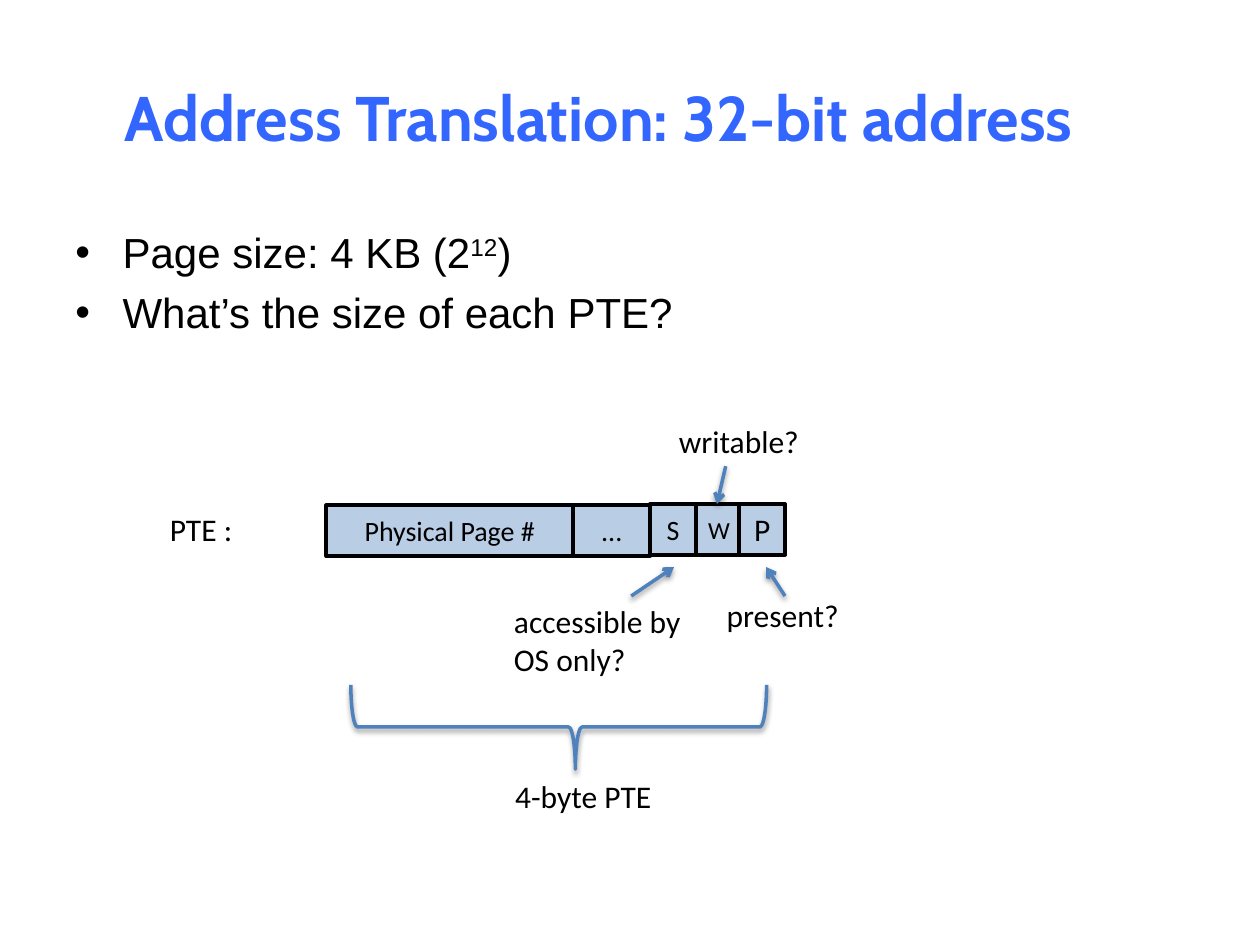
"""Build the slide on 32-bit address translation and the page table entry."""
import pptx
import pptx.dml.color
import pptx.enum.shapes
import pptx.enum.text
import pptx.oxml
import pptx.oxml.ns
import pptx.util
from pptx.util import Pt

BLACK = pptx.dml.color.RGBColor(0x00, 0x00, 0x00)
TITLE_BLUE = pptx.dml.color.RGBColor(0x33, 0x66, 0xFF)
CELL_BLUE = pptx.dml.color.RGBColor(0xB9, 0xCD, 0xE5)
LINE_BLUE = pptx.dml.color.RGBColor(0x4F, 0x81, 0xBD)
ALIGN = pptx.enum.text.PP_ALIGN
ANCHOR = pptx.enum.text.MSO_ANCHOR
SHAPE = pptx.enum.shapes.MSO_SHAPE
NAMESPACE = pptx.oxml.ns.nsdecls("a")
SHADOW = (
    f'<a:effectLst {NAMESPACE}><a:outerShdw blurRad="40000" dist="20000" dir="5400000" '
    'rotWithShape="0"><a:srgbClr val="000000"><a:alpha val="38000"/></a:srgbClr>'
    "</a:outerShdw></a:effectLst>"
)


def add_run(paragraph, text, size, font="Calibri", color=BLACK):
    run = paragraph.add_run()
    run.text = text
    run.font.size = Pt(size)
    run.font.name = font
    run.font.color.rgb = color
    return run


def style_line(shape):
    shape.line.color.rgb = LINE_BLUE
    shape.line.width = Pt(2)
    properties = shape._element.spPr
    for effects in properties.findall(pptx.oxml.ns.qn("a:effectLst")):
        properties.remove(effects)
    properties.append(pptx.oxml.parse_xml(SHADOW))


presentation = pptx.Presentation()
presentation.slide_width = Pt(720)
presentation.slide_height = Pt(540)
slide = presentation.slides.add_slide(presentation.slide_layouts[6])
shapes = slide.shapes

title = shapes.add_textbox(Pt(0), Pt(21.6), Pt(684), Pt(90)).text_frame
title.word_wrap = True
title.vertical_anchor = ANCHOR.MIDDLE
title.paragraphs[0].alignment = ALIGN.CENTER
add_run(title.paragraphs[0], "Address Translation: 32-bit address", 36, "Cabin", TITLE_BLUE).font.bold = True

body = shapes.add_textbox(Pt(36), Pt(126), Pt(648), Pt(93)).text_frame
body.word_wrap = True
bullets = [
    [("Page size: 4 KB (2", False), ("12", True), (")", False)],
    [("What’s the size of each PTE?", False)],
]
for index, runs in enumerate(bullets):
    paragraph = body.add_paragraph() if index else body.paragraphs[0]
    paragraph.space_before = Pt(5.5)
    properties = paragraph._p.get_or_add_pPr()
    properties.set("marL", str(Pt(27)))
    properties.set("indent", str(Pt(-27)))
    properties.append(pptx.oxml.parse_xml(f'<a:buFont {NAMESPACE} typeface="Arial"/>'))
    properties.append(pptx.oxml.parse_xml(f'<a:buChar {NAMESPACE} char="•"/>'))
    for text, raised in runs:
        run = add_run(paragraph, text, 24, "Arial")
        if raised:
            run._r.get_or_add_rPr().set("baseline", "30000")

entry = shapes.add_shape(SHAPE.RECTANGLE, Pt(186.5), Pt(288), Pt(262), Pt(29))
entry.shadow.inherit = False
entry.fill.solid()
entry.fill.fore_color.rgb = CELL_BLUE
entry.line.fill.background()

fields = [
    ("P", 422.6, 288, 26, 18, ALIGN.CENTER),
    ("W", 397.6, 288, 25, 14, ALIGN.LEFT),
    ("S", 371.6, 288, 26, 16, ALIGN.CENTER),
    ("...", 327.6, 288.7, 44, 16, ALIGN.CENTER),
    ("Physical Page #", 186.5, 288.7, 141.1, 16, ALIGN.CENTER),
]
for text, left, top, width, size, alignment in fields:
    field = shapes.add_shape(SHAPE.RECTANGLE, Pt(left), Pt(top), Pt(width), Pt(29))
    field.shadow.inherit = False
    field.fill.background()
    field.line.color.rgb = BLACK
    field.line.width = Pt(2.25)
    field.text_frame.vertical_anchor = ANCHOR.MIDDLE
    field.text_frame.paragraphs[0].alignment = alignment
    add_run(field.text_frame.paragraphs[0], text, size)

labels = [
    (["PTE :"], 90, 288, 50),
    (["present?"], 408.2, 337, 80),
    (["writable?"], 380.9, 237.6, 84),
    (["accessible by", "OS only?"], 286.6, 340.6, 111),
    (["4-byte PTE"], 287.3, 440.6, 94),
]
for lines, left, top, width in labels:
    label = shapes.add_textbox(Pt(left), Pt(top), Pt(width), Pt(7 + 22 * len(lines))).text_frame
    label.word_wrap = False
    for index, text in enumerate(lines):
        paragraph = label.add_paragraph() if index else label.paragraphs[0]
        add_run(paragraph, text, 18)

arrows = [
    (448.6, 340.6, 437.8, 324),
    (414.7, 266.4, 409.7, 288),
    (360.7, 340.6, 385.2, 324),
]
for ends in arrows:
    arrow = shapes.add_connector(pptx.enum.shapes.MSO_CONNECTOR.STRAIGHT, *map(Pt, ends))
    style_line(arrow)
    arrow.line._get_or_add_ln().append(pptx.oxml.parse_xml(f'<a:tailEnd {NAMESPACE} type="arrow"/>'))

brace = shapes.add_shape(SHAPE.LEFT_BRACE, Pt(295.2), Pt(296.6), Pt(48.2), Pt(237.6))
brace.rotation = 270
brace.adjustments[0] = 0.08
brace.adjustments[1] = 0.54
brace.fill.background()
style_line(brace)

presentation.save("out.pptx")
